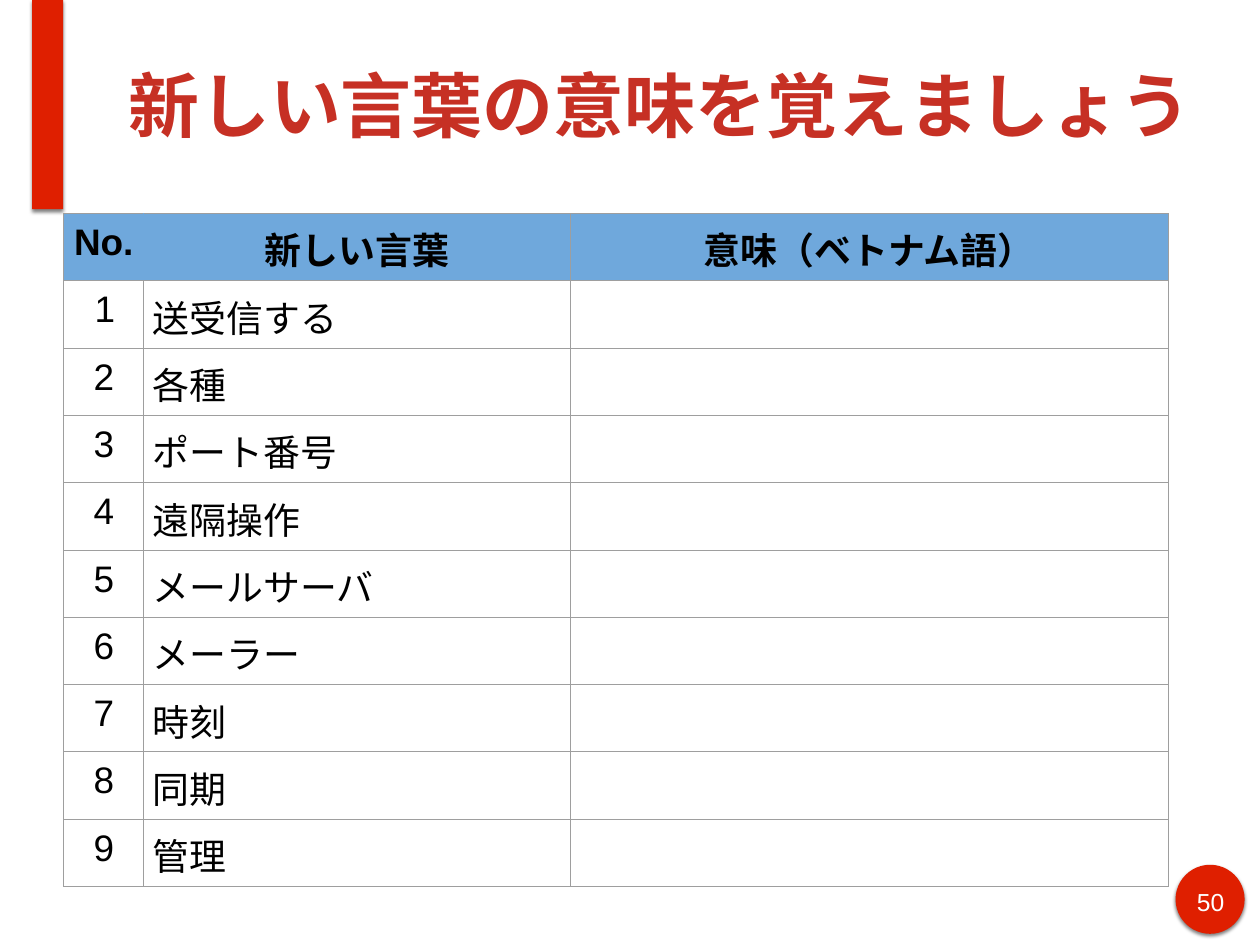
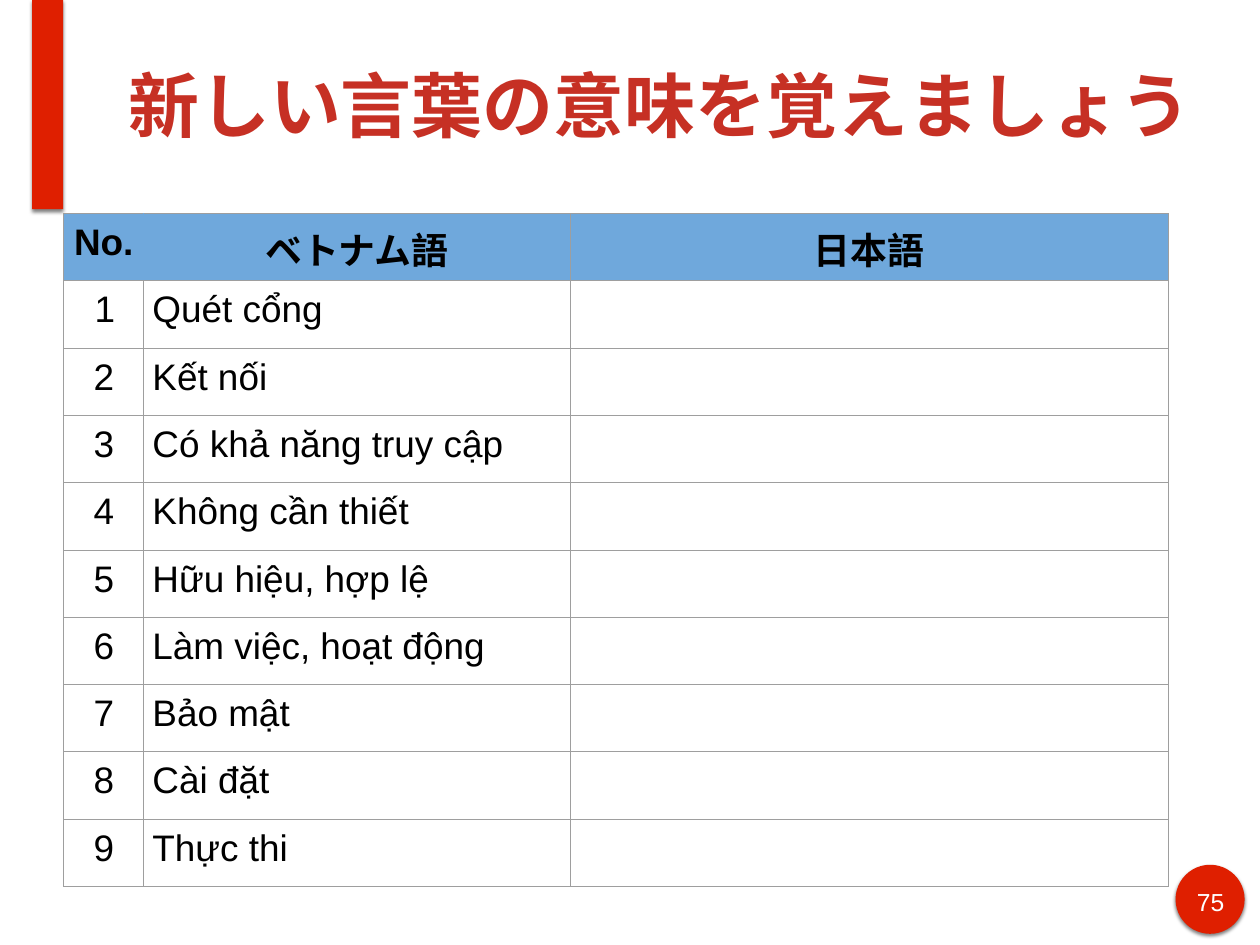
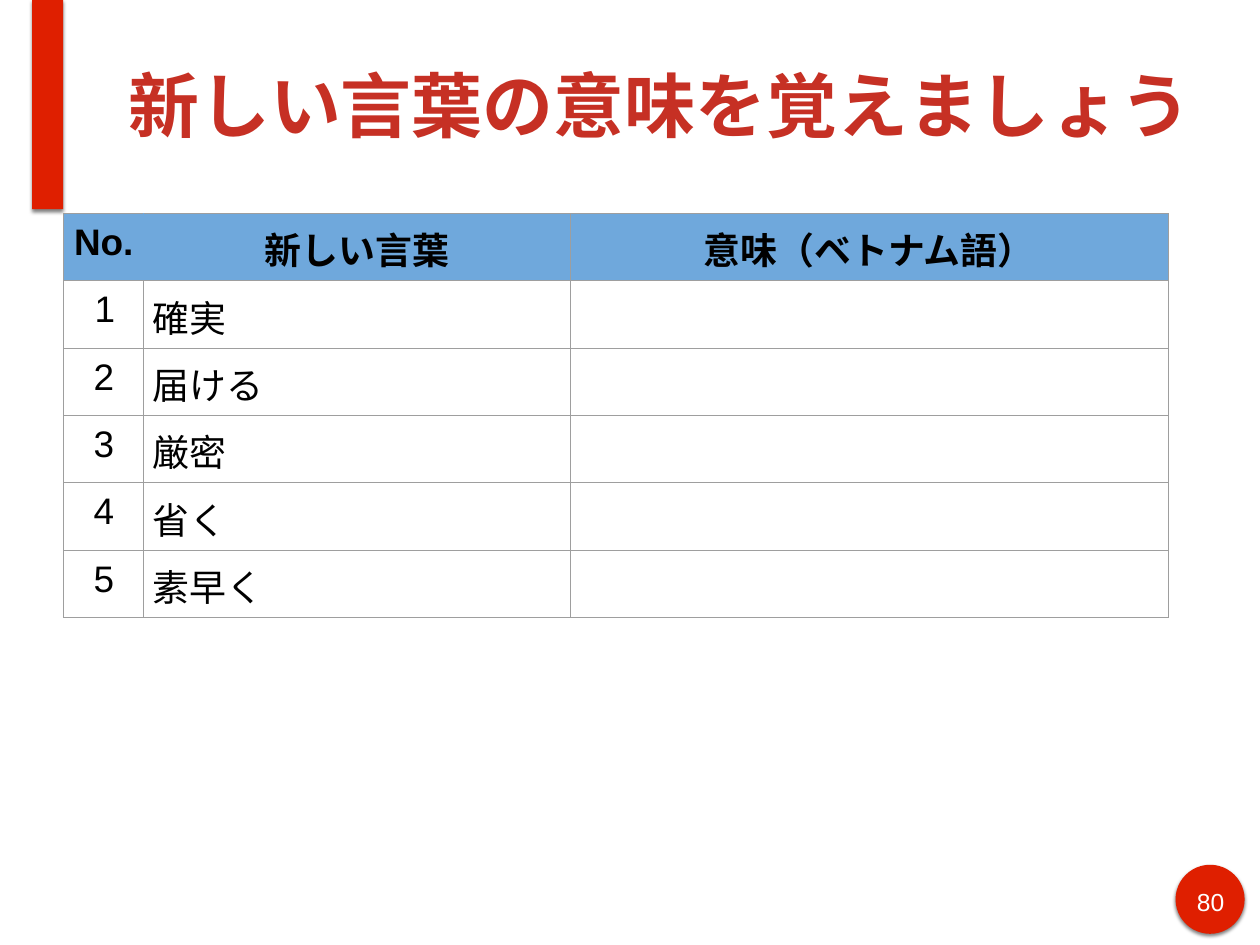
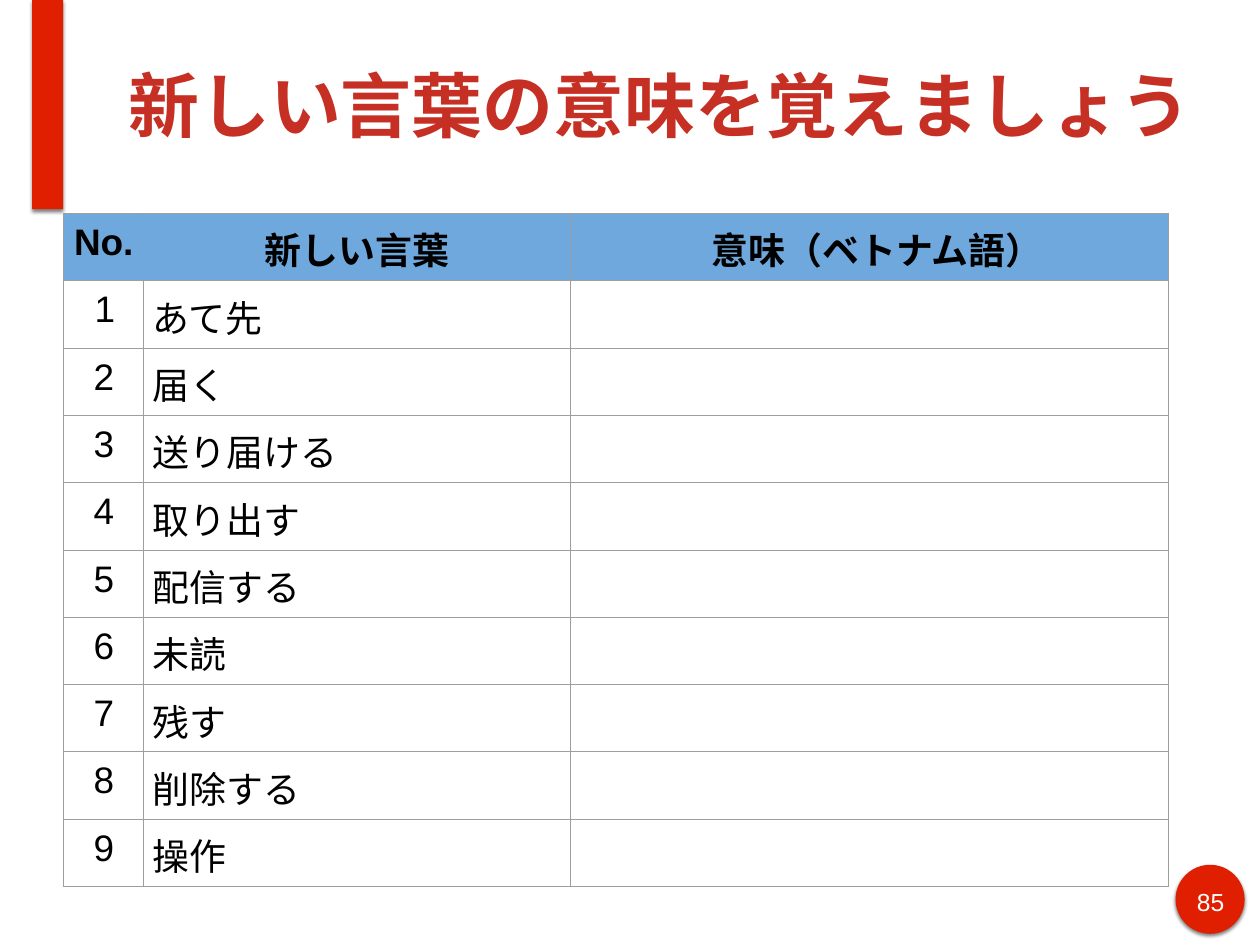
"""Builds four vocabulary table slides for a Japanese lesson."""
from lxml import etree
from pptx import Presentation
from pptx.dml.color import RGBColor
from pptx.enum.shapes import MSO_SHAPE
from pptx.enum.text import MSO_ANCHOR, PP_ALIGN
from pptx.oxml.ns import qn
from pptx.util import Cm, Pt

OVAL = MSO_SHAPE.OVAL
RECTANGLE = MSO_SHAPE.RECTANGLE
MIDDLE = MSO_ANCHOR.MIDDLE
TOP = MSO_ANCHOR.TOP
LEFT = PP_ALIGN.LEFT
CENTER = PP_ALIGN.CENTER

FONT = "Arial"
COLORS = {
    "accent": "DF1F00",
    "title": "C63024",
    "header": "6FA8DC",
    "border": "9E9E9E",
    "text": "000000",
    "page": "FFFFFF",
}
COLUMN_WIDTHS = (2.29, 12.22, 17.15)
ROW_HEIGHT = 1.93

TITLE = "新しい言葉の意味を覚えましょう"
NEW_WORD = "新しい言葉"
MEANING = "意味（ベトナム語）"
LESSONS = [
    (50, NEW_WORD, MEANING, 0,
     ["送受信する", "各種", "ポート番号", "遠隔操作", "メールサーバ",
      "メーラー", "時刻", "同期", "管理"]),
    (75, "ベトナム語", "日本語", 0,
     ["Quét cổng", "Kết nối", "Có khả năng truy cập", "Không cần thiết",
      "Hữu hiệu, hợp lệ", "Làm việc, hoạt động", "Bảo mật", "Cài đặt",
      "Thực thi"]),
    (80, NEW_WORD, MEANING, 0,
     ["確実", "届ける", "厳密", "省く", "素早く"]),
    (85, NEW_WORD, MEANING, 0.46,
     ["あて先", "届く", "送り届ける", "取り出す", "配信する", "未読", "残す",
      "削除する", "操作"]),
]


def rgb(name):
    return RGBColor.from_string(COLORS[name])


def add_color(parent, value):
    return etree.SubElement(parent, qn("a:srgbClr"), val=value)


class Deck:
    """Holds the style and the current slide."""

    def __init__(self):
        self.presentation = Presentation()
        self.presentation.slide_width = Cm(36.12)
        self.presentation.slide_height = Cm(27.1)
        self.slide = None

    def new_slide(self, page_number):
        blank = self.presentation.slide_layouts[6]
        self.slide = self.presentation.slides.add_slide(blank)
        self.accent(OVAL, 33.7, 24.8, 1.98, 1.98)
        self.accent(RECTANGLE, 0.92, 0, 0.89, 6)
        self.text(str(page_number), (34.08, 25.27, 1.25, 1), 20, "page",
                  align=CENTER)
        self.text(TITLE, (3.53, 0.3, 30.84, 5.38), 57.6, "title", bold=True,
                  anchor=MIDDLE)

    def accent(self, outline, left, top, width, height):
        shape = self.slide.shapes.add_shape(
            outline, Cm(left), Cm(top), Cm(width), Cm(height))
        shape.fill.solid()
        shape.fill.fore_color.rgb = rgb("accent")
        shape.line.fill.background()
        shape.shadow.inherit = False
        effects = shape._element.spPr.find(qn("a:effectLst"))
        shadow = etree.SubElement(
            effects, qn("a:outerShdw"), blurRad=str(Pt(3)), dist=str(Pt(2)),
            dir="5400000", rotWithShape="0")
        etree.SubElement(add_color(shadow, COLORS["text"]),
                         qn("a:alpha"), val="50000")

    def style_words(self, paragraph, words, size, color, bold=False,
                    align=LEFT):
        paragraph.text = words
        paragraph.alignment = align
        for run in paragraph.runs:
            run.font.name = FONT
            run.font.size = Pt(size)
            run.font.bold = bold
            run.font.color.rgb = rgb(color)

    def text(self, words, box, size, color, bold=False, align=LEFT,
             anchor=TOP):
        frame = self.slide.shapes.add_textbox(*map(Cm, box)).text_frame
        frame.word_wrap = True
        frame.vertical_anchor = anchor
        frame.margin_left = frame.margin_right = Cm(0.15)
        frame.margin_top = frame.margin_bottom = Cm(0.15)
        self.style_words(frame.paragraphs[0], words, size, color, bold, align)

    def indent(self, cell, margin, first_line=0):
        properties = cell.text_frame.paragraphs[0]._p.get_or_add_pPr()
        properties.set("marL", str(Cm(margin)))
        properties.set("indent", str(Cm(first_line)))

    def borders(self, cell, **side_colors):
        properties = cell._tc.get_or_add_tcPr()
        for position, side in enumerate("LRTB"):
            line = etree.Element(qn(f"a:ln{side}"), w=str(Pt(0.75)))
            fill = etree.SubElement(line, qn("a:solidFill"))
            add_color(fill, COLORS[side_colors.get(side, "border")])
            properties.insert(position, line)

    def cell(self, cell, words, align=LEFT, header=False, **side_colors):
        cell.margin_left = cell.margin_right = Cm(0.25)
        cell.margin_top = cell.margin_bottom = Cm(0.25)
        self.borders(cell, **side_colors)
        if header:
            cell.fill.solid()
            cell.fill.fore_color.rgb = rgb("header")
        else:
            cell.fill.background()
        if words:
            self.style_words(cell.text_frame.paragraphs[0], words, 30, "text",
                             header, align)

    def vocabulary(self, word_heading, answer_heading, answer_indent, words):
        row_count = len(words) + 1
        table = self.slide.shapes.add_table(
            row_count, len(COLUMN_WIDTHS), Cm(1.83), Cm(6.12),
            Cm(sum(COLUMN_WIDTHS)), Cm(ROW_HEIGHT * row_count)).table
        table.first_row = table.horz_banding = False
        for column, width in zip(table.columns, COLUMN_WIDTHS):
            column.width = Cm(width)
        for row in table.rows:
            row.height = Cm(ROW_HEIGHT)

        self.cell(table.cell(0, 0), "No.", CENTER, True, R="header")
        self.cell(table.cell(0, 1), word_heading, CENTER, True, L="header")
        self.cell(table.cell(0, 2), answer_heading, CENTER, True)
        if answer_indent:
            self.indent(table.cell(0, 2), answer_indent)

        for number, word in enumerate(words, 1):
            self.cell(table.cell(number, 0), str(number),
                      LEFT if number == 1 else CENTER)
            self.cell(table.cell(number, 1), word)
            self.cell(table.cell(number, 2), "")
        self.indent(table.cell(1, 0), 1.27, -0.64)


def main():
    deck = Deck()
    for page_number, *vocabulary in LESSONS:
        deck.new_slide(page_number)
        deck.vocabulary(*vocabulary)
    deck.presentation.save("out.pptx")


if __name__ == "__main__":
    main()
